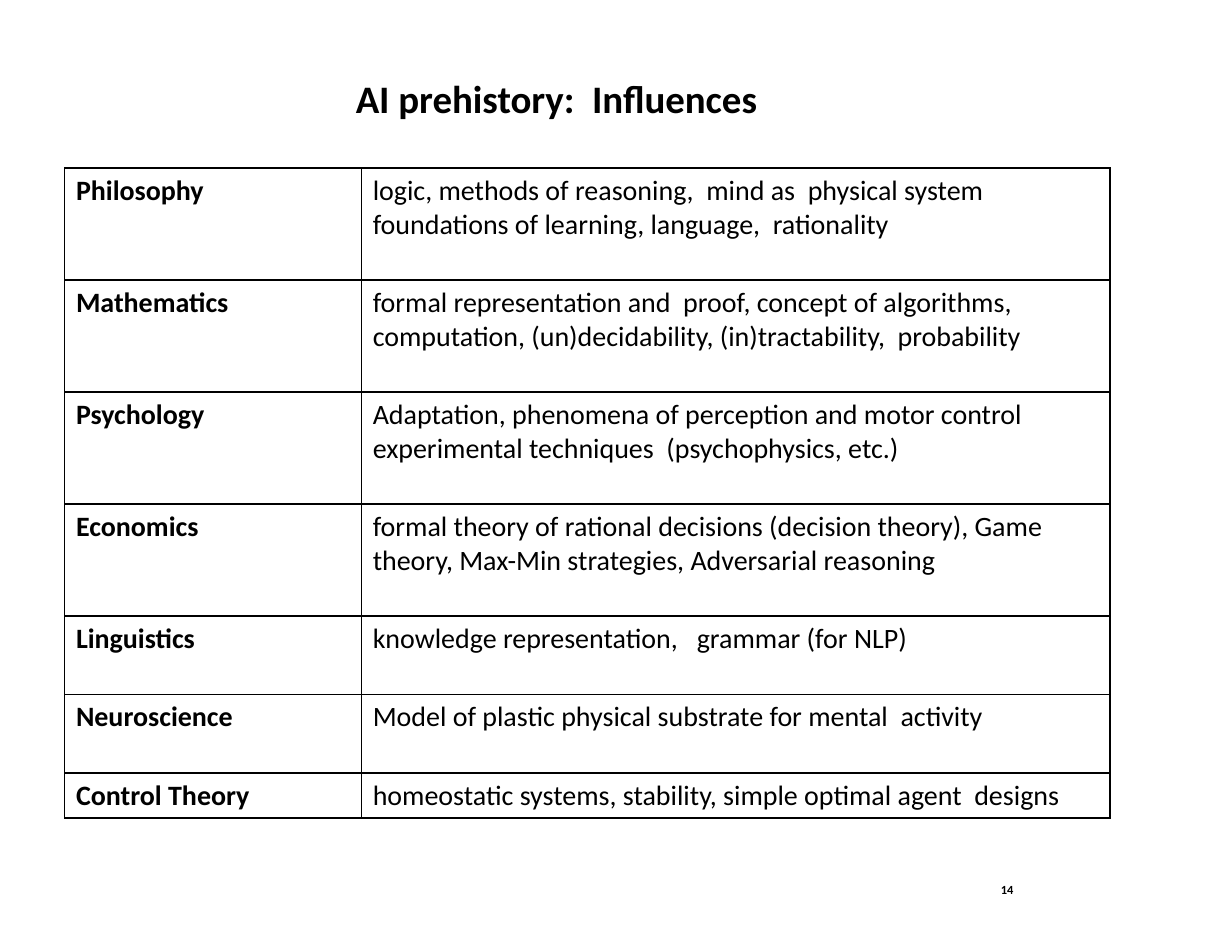
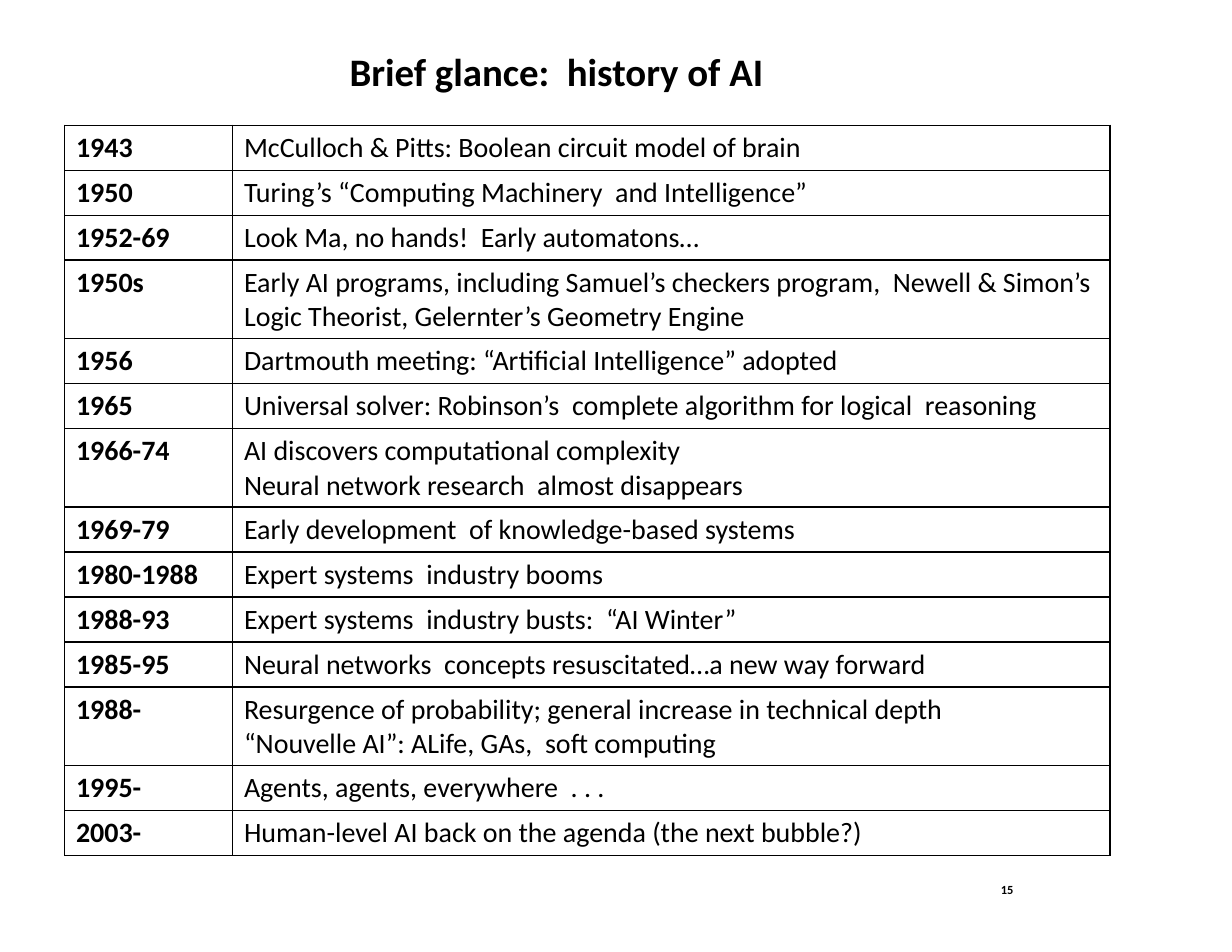
"""Builds two table slides on the influences on AI and its history."""
from dataclasses import dataclass

from lxml import etree
from pptx import Presentation
from pptx.dml.color import RGBColor
from pptx.enum.text import MSO_ANCHOR, PP_ALIGN
from pptx.oxml.ns import qn
from pptx.util import Cm, Pt

CENTER, LEFT, TOP = PP_ALIGN.CENTER, PP_ALIGN.LEFT, MSO_ANCHOR.TOP
FONT = "Calibri"
INK, PAPER = "000000", "FFFFFF"
BORDER_WIDTH = Pt(0.96)
TITLE_ONLY = 5
TABLE_LEFT, TABLE_WIDTH = 1.47, 23.7
TALL, MEDIUM, SHORT = 2.54, 1.78, 1.02


@dataclass(frozen=True)
class Entry:
    label: str
    lines: tuple[str, ...]
    height: float = SHORT


@dataclass(frozen=True)
class Topic:
    title: str
    title_top: float
    table_top: float
    label_width: float
    page: int
    entries: tuple[Entry, ...]


INFLUENCES = Topic("AI prehistory:  Influences", 1.9, 3.81, 6.73, 14, (
    Entry("Philosophy", ("logic, methods of reasoning,  mind as  physical system "
                         "foundations of learning, language,  rationality",), TALL),
    Entry("Mathematics", ("formal representation and  proof, concept of algorithms, "
                          "computation, (un)decidability, (in)tractability,  probability",), TALL),
    Entry("Psychology", ("Adaptation, phenomena of perception and motor control "
                         "experimental techniques  (psychophysics, etc.)",), TALL),
    Entry("Economics", ("formal theory of rational decisions (decision theory), Game "
                        "theory, Max-Min strategies, Adversarial reasoning",), TALL),
    Entry("Linguistics", ("knowledge representation,   grammar (for NLP)",), MEDIUM),
    Entry("Neuroscience", ("Model of plastic physical substrate for mental  activity",), MEDIUM),
    Entry("Control Theory", ("homeostatic systems, stability, simple optimal agent  designs",)),
))

HISTORY = Topic("Brief glance:  history of AI", 1.27, 2.84, 3.81, 15, (
    Entry("1943", ("McCulloch & Pitts: Boolean circuit model of brain",)),
    Entry("1950", ("Turing’s “Computing Machinery  and Intelligence”",)),
    Entry("1952-69", ("Look Ma, no hands!  Early automatons…",)),
    Entry("1950s", ("Early AI programs, including Samuel’s checkers program,  Newell & Simon’s "
                    "Logic Theorist, Gelernter’s Geometry Engine",), MEDIUM),
    Entry("1956", ("Dartmouth meeting: “Artificial Intelligence” adopted",)),
    Entry("1965", ("Universal solver: Robinson’s  complete algorithm for logical  reasoning",)),
    Entry("1966-74", ("AI discovers computational complexity",
                      "Neural network research  almost disappears"), MEDIUM),
    Entry("1969-79", ("Early development  of knowledge-based systems",)),
    Entry("1980-1988", ("Expert systems  industry booms",)),
    Entry("1988-93", ("Expert systems  industry busts:  “AI Winter”",)),
    Entry("1985-95", ("Neural networks  concepts resuscitated…a new way forward",)),
    Entry("1988-", ("Resurgence of probability; general increase in technical depth",
                    "“Nouvelle AI”: ALife, GAs,  soft computing"), MEDIUM),
    Entry("1995-", ("Agents, agents, everywhere  . . .",)),
    Entry("2003-", ("Human-level AI back on the agenda (the next bubble?)",)),
))


def paint(target, color: str) -> None:
    target.rgb = RGBColor.from_string(color)


def write(frame, lines: tuple[str, ...], size: float, bold: bool,
          align=LEFT, leading: float | None = None) -> None:
    for index, line in enumerate(lines):
        paragraph = frame.add_paragraph() if index else frame.paragraphs[0]
        paragraph.alignment = align
        if leading:
            paragraph.line_spacing = Pt(leading)
        run = paragraph.add_run()
        run.text = line
        run.font.name, run.font.size, run.font.bold = FONT, Pt(size), bold
        paint(run.font.color, INK)


def set_box(shape, left: float, top: float, width: float, height: float) -> None:
    shape.left, shape.top = Cm(left), Cm(top)
    shape.width, shape.height = Cm(width), Cm(height)
    frame = shape.text_frame
    frame.margin_left = frame.margin_right = frame.margin_top = frame.margin_bottom = 0
    frame.vertical_anchor, frame.word_wrap = TOP, True


def add_borders(cell) -> None:
    properties = cell._tc.get_or_add_tcPr()
    for side in ("lnL", "lnR", "lnT", "lnB"):
        line = etree.SubElement(properties, qn(f"a:{side}"), w=str(int(BORDER_WIDTH)))
        fill = etree.SubElement(line, qn("a:solidFill"))
        etree.SubElement(fill, qn("a:srgbClr"), val=INK)


def fill_cell(cell, lines: tuple[str, ...], bold: bool) -> None:
    add_borders(cell)
    cell.fill.solid()
    paint(cell.fill.fore_color, PAPER)
    write(cell.text_frame, lines, 18, bold)


def add_entries(slide, topic: Topic) -> None:
    height = sum(entry.height for entry in topic.entries)
    table = slide.shapes.add_table(len(topic.entries), 2, Cm(TABLE_LEFT), Cm(topic.table_top),
                                   Cm(TABLE_WIDTH), Cm(height)).table
    table.first_row = table.horz_banding = False
    table.columns[0].width = Cm(topic.label_width)
    table.columns[1].width = Cm(TABLE_WIDTH - topic.label_width)
    for index, entry in enumerate(topic.entries):
        table.rows[index].height = Cm(entry.height)
        fill_cell(table.cell(index, 0), (entry.label,), True)
        fill_cell(table.cell(index, 1), entry.lines, False)


def add_topic(deck, topic: Topic) -> None:
    slide = deck.slides.add_slide(deck.slide_layouts[TITLE_ONLY])
    slide.background.fill.solid()
    paint(slide.background.fill.fore_color, PAPER)
    title = slide.shapes.title
    set_box(title, 1.9, topic.title_top, 21.44, 1.2)
    write(title.text_frame, (topic.title,), 25, True, CENTER, 24.3)
    page = slide.shapes.add_textbox(0, 0, 0, 0)
    set_box(page, 22.7, 20.04, 0.8, 0.4)
    write(page.text_frame, (str(topic.page),), 8, True, leading=8.8)
    add_entries(slide, topic)


def main() -> None:
    deck = Presentation()
    deck.slide_width, deck.slide_height = Cm(27.94), Cm(21.59)
    for topic in (INFLUENCES, HISTORY):
        add_topic(deck, topic)
    deck.save("out.pptx")


if __name__ == "__main__":
    main()
